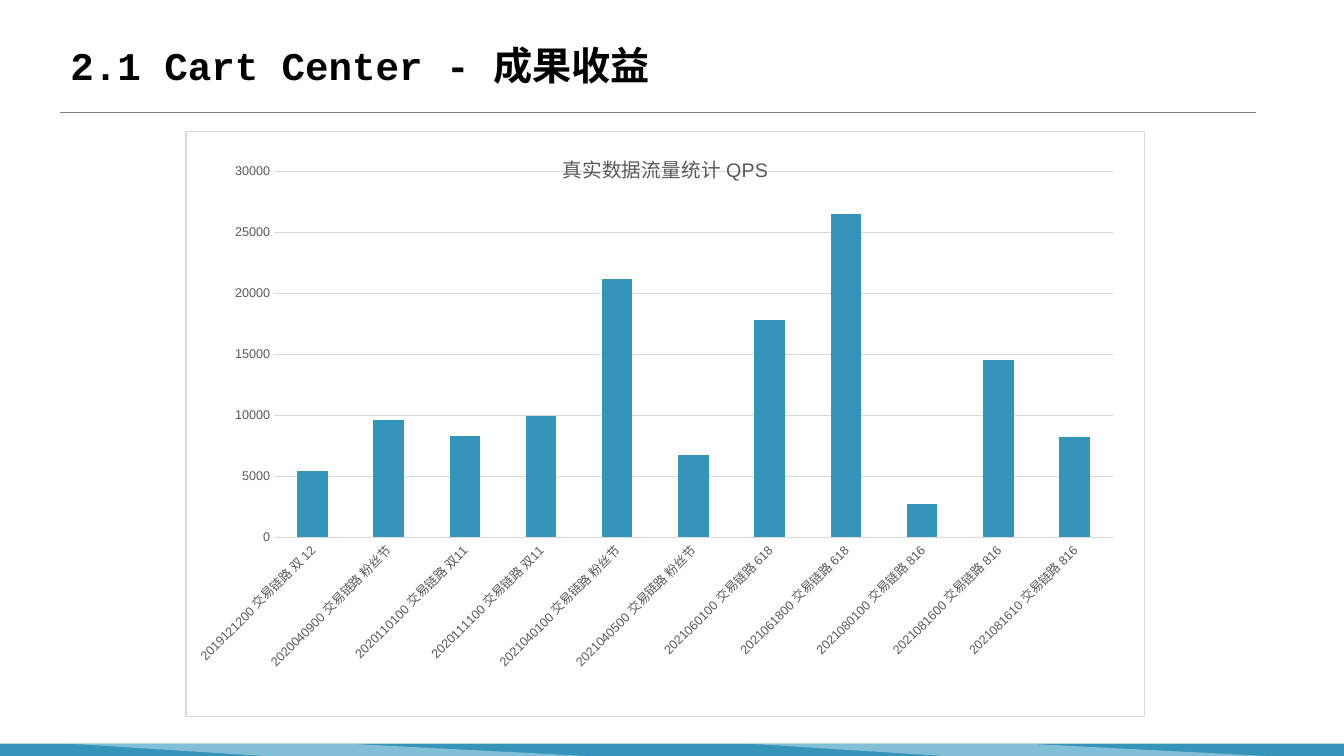
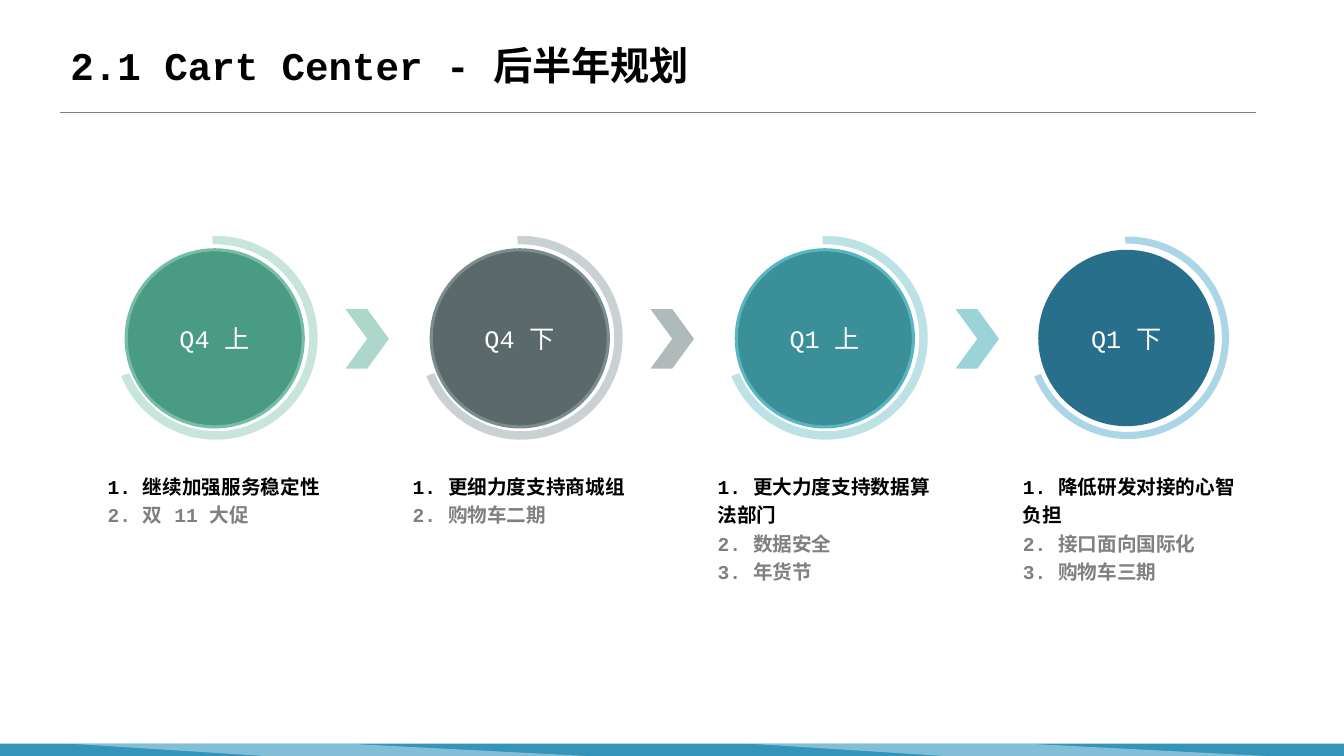
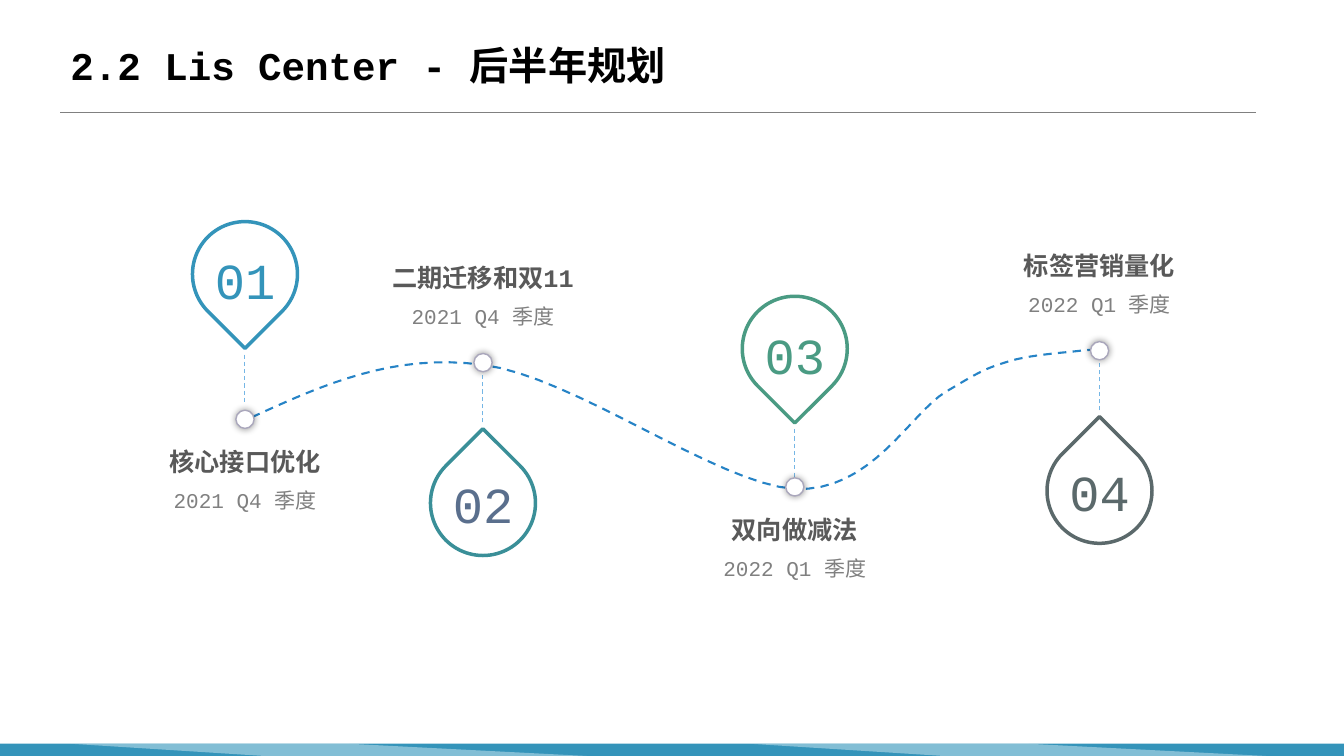
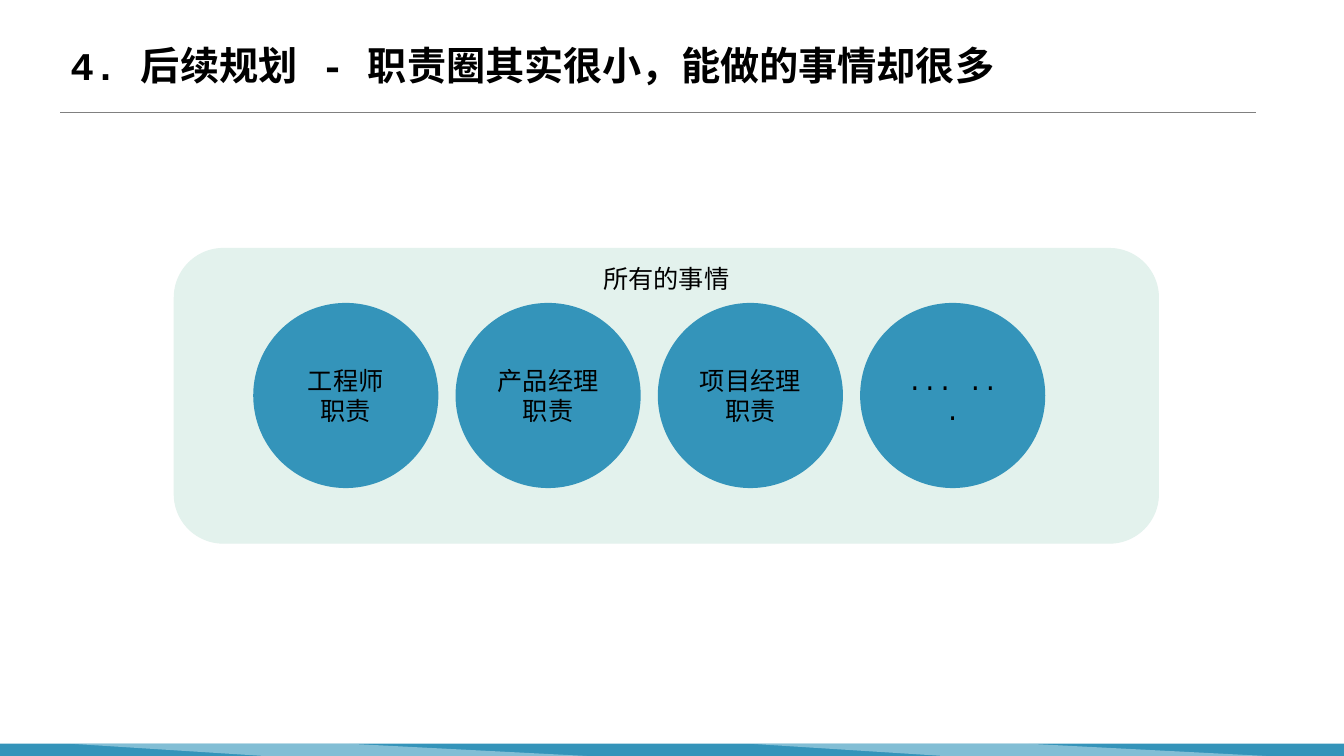
from lxml import etree
from pptx import Presentation
from pptx.chart.data import CategoryChartData
from pptx.dml.color import RGBColor
from pptx.enum.chart import XL_CHART_TYPE, XL_TICK_MARK
from pptx.enum.dml import MSO_LINE
from pptx.enum.shapes import MSO_CONNECTOR, MSO_SHAPE
from pptx.enum.text import MSO_ANCHOR, PP_ALIGN
from pptx.oxml import parse_xml
from pptx.oxml.ns import nsdecls, qn
from pptx.util import Pt

STACKED = XL_CHART_TYPE.COLUMN_STACKED
NO_TICK = XL_TICK_MARK.NONE
DASH = MSO_LINE.DASH
STRAIGHT = MSO_CONNECTOR.STRAIGHT
RECT, OVAL, ROUNDED = MSO_SHAPE.RECTANGLE, MSO_SHAPE.OVAL, MSO_SHAPE.ROUNDED_RECTANGLE
CHEVRON, TEARDROP, ARC = MSO_SHAPE.CHEVRON, MSO_SHAPE.TEAR, MSO_SHAPE.BLOCK_ARC
TOP, MIDDLE, BOTTOM = MSO_ANCHOR.TOP, MSO_ANCHOR.MIDDLE, MSO_ANCHOR.BOTTOM
LEFT, CENTER = PP_ALIGN.LEFT, PP_ALIGN.CENTER

WIDTH, HEIGHT = 960, 540
MONO, SANS = "Courier New", "Arial"
BLUE, PALE_BLUE = "3494BA", "D4EAF3"
BLACK, WHITE = "000000", "FFFFFF"
DARK_GREY, GREY, LIGHT_GREY = "595959", "808080", "D9D9D9"
MINT, GUIDE, ROUTE, DOT_EDGE = "E3F2ED", "75B6E5", "2683C6", "AAA7BC"


def rgb(value):
    return RGBColor.from_string(value)


def paint(shape, fill=None, line=None, weight=1, dash=None):
    """Set fill and outline, leaving out whichever has no colour."""
    if fill:
        shape.fill.solid()
        shape.fill.fore_color.rgb = rgb(fill)
    else:
        shape.fill.background()
    if line:
        shape.line.color.rgb = rgb(line)
        shape.line.width = Pt(weight)
        if dash:
            shape.line.dash_style = dash
    else:
        shape.line.fill.background()
    shape.shadow.inherit = False


def add_preset(slide, kind, box, **look):
    shape = slide.shapes.add_shape(kind, *map(Pt, box))
    paint(shape, **look)
    return shape


def add_outline(slide, points, closed, **look):
    points = [(Pt(x), Pt(y)) for x, y in points]
    builder = slide.shapes.build_freeform(*points[0])
    builder.add_line_segments(points[1:], close=closed)
    shape = builder.convert_to_shape()
    paint(shape, **look)
    return shape


def add_line(slide, start, end, color, weight, dash=None):
    line = slide.shapes.add_connector(STRAIGHT, *map(Pt, (*start, *end)))
    line.line.color.rgb = rgb(color)
    line.line.width = Pt(weight)
    if dash:
        line.line.dash_style = dash
    etree.SubElement(line._element.spPr, qn("a:effectLst"))


def write(shape, lines, size, colors, bold=False, align=CENTER, anchor=MIDDLE,
          spacing=1.0, **margins):
    """Write one paragraph per line; the last colour serves all further lines."""
    frame = shape.text_frame
    frame.word_wrap = True
    frame.vertical_anchor = anchor
    for side, margin in margins.items():
        setattr(frame, "margin_" + side, Pt(margin))
    for i, line in enumerate(lines):
        paragraph = frame.paragraphs[0] if i == 0 else frame.add_paragraph()
        paragraph.alignment = align
        paragraph.line_spacing = spacing
        run = paragraph.add_run()
        run.text = line
        look = {"size": Pt(size), "bold": bold, "name": MONO}
        for key, value in look.items():
            setattr(run.font, key, value)
        run.font.color.rgb = rgb(colors[min(i, len(colors) - 1)])
        latin = run._r.rPr.find(qn("a:latin"))
        latin.addnext(parse_xml(f'<a:ea {nsdecls("a")} typeface="{MONO}"/>'))


def add_text(slide, box, lines, size, colors, **style):
    write(slide.shapes.add_textbox(*map(Pt, box)), lines, size, colors, **style)


def add_footer(slide, top):
    add_preset(slide, RECT, (0, top, WIDTH, HEIGHT - top), fill=BLUE)
    for left in (49.7, 535):
        facet = add_outline(slide, [(left + 369.3, HEIGHT), (left + 198.5, top),
                                    (left, top), (left + 139, HEIGHT)],
                            True, fill=PALE_BLUE)
        color = facet._element.spPr.find(qn("a:solidFill"))[0]
        etree.SubElement(color, qn("a:alpha"), val="49000")


def new_slide(deck, title):
    slide = deck.slides.add_slide(deck.slide_layouts[6])
    add_footer(slide, 531.2)
    add_line(slide, (43, 80.4), (897.5, 80.4), GREY, 0.5)
    add_text(slide, (43.2, 16.6, 855, 64), [title], 28, [BLACK], bold=True,
             align=LEFT, spacing=0.9)
    return slide


def style_font(font, size, color):
    for key, value in {"size": Pt(size), "bold": False, "name": SANS}.items():
        setattr(font, key, value)
    font.color.rgb = rgb(color)


def add_traffic_chart(slide, box, title, traffic):
    data = CategoryChartData()
    data.categories = [event for event, _ in traffic]
    data.add_series(title, [qps for _, qps in traffic])
    chart = slide.shapes.add_chart(STACKED, *map(Pt, box), data).chart
    style_font(chart.font, 10, BLACK)
    chart.has_legend = False
    chart.has_title = True
    heading = chart.chart_title.text_frame
    heading.text = title
    style_font(heading.paragraphs[0].runs[0].font, 14, DARK_GREY)

    plot = chart.plots[0]
    plot.gap_width, plot.overlap, plot.vary_by_categories = 150, 100, False
    bars = plot.series[0].format
    bars.fill.solid()
    bars.fill.fore_color.rgb = rgb(BLUE)

    events, scale = chart.category_axis, chart.value_axis
    for axis in (events, scale):
        axis.major_tick_mark = axis.minor_tick_mark = NO_TICK
        style_font(axis.tick_labels.font, 9, DARK_GREY)
    scale.minimum_scale, scale.maximum_scale, scale.major_unit = 0, 30000, 5000
    scale.format.line.fill.background()
    scale.has_major_gridlines = True
    for line in (events.format.line, scale.major_gridlines.format.line):
        line.color.rgb = rgb(LIGHT_GREY)
        line.width = Pt(0.75)
    label_body = events._element.find(qn("c:txPr")).find(qn("a:bodyPr"))
    label_body.set("rot", "-2700000")

    root = chart.element.find(qn("c:chart"))
    root.addnext(parse_xml(
        f'<c:spPr {nsdecls("c", "a")}>'
        f'<a:solidFill><a:srgbClr val="{WHITE}"/></a:solidFill>'
        f'<a:ln w="{Pt(0.75)}"><a:solidFill><a:srgbClr val="{LIGHT_GREY}"/>'
        '</a:solidFill></a:ln></c:spPr>'))
    area = root.find(qn("c:plotArea"))
    for layout in area.findall(qn("c:layout")):
        area.remove(layout)
    places = {"xMode": "edge", "yMode": "edge", "x": 0.092, "y": 0.068,
              "w": 0.875, "h": 0.626}
    settings = "".join(f'<c:{key} val="{value}"/>' for key, value in places.items())
    area.insert(0, parse_xml(
        f'<c:layout {nsdecls("c")}><c:manualLayout><c:layoutTarget val="inner"/>'
        f'{settings}</c:manualLayout></c:layout>'))


def add_quarter(slide, left, top, quarter, goals, fill, edge, ring, nudge=0):
    """A ringed circle with its goals below; nudge moves only the circle."""
    size = 126.5 if edge else 126
    add_preset(slide, OVAL, (left + 20.3 + nudge, top + 9.4, size, size),
               fill=fill, line=edge, weight=2.25)
    write(slide.shapes[-1], [quarter], 18, [WHITE])
    arc = add_preset(slide, ARC, (left + 12 + nudge, top, 144.6, 144.6),
                     fill=ring, line=ring if edge else None)
    for i, value in enumerate((268.5 * 0.6, 157.5 * 0.6, 0.035)):
        arc.adjustments[i] = value
    add_text(slide, (left, top + 163.4, 166.5, 74), goals, 14, [BLACK, GREY],
             bold=True, align=LEFT, anchor=TOP, spacing=1.2)


def add_quarters(slide, left, top, step, quarters, arrow_colors):
    for i, quarter in enumerate(quarters):
        add_quarter(slide, left + i * step, top, *quarter)
    for i, color in enumerate(arrow_colors):
        add_preset(slide, CHEVRON, (left + 177 + i * step, top + 51.8, 31, 42.5),
                   fill=color)


def bezier(start, bends, steps=16):
    """Points along joined cubic curves, each given as two handles and an end."""
    points = [start]
    for bend in bends:
        corners = (points[-1], *bend)
        for i in range(1, steps + 1):
            t = i / steps
            weights = ((1 - t) ** 3, 3 * t * (1 - t) ** 2, 3 * t * t * (1 - t), t ** 3)
            points.append(tuple(sum(w * c[k] for w, c in zip(weights, corners))
                                for k in (0, 1)))
    return points


def add_milestone(slide, x, dot_y, drop_y, number, goal, quarter, edge, ink):
    """A dot on the route with a drop on one side and its texts on the other."""
    above = drop_y < dot_y
    toward_dot = 1 if above else -1
    drop = add_preset(slide, TEARDROP, (x - 37.5, drop_y - 37.5, 75, 75),
                      line=edge, weight=2.5)
    drop.rotation = 135 if above else 315
    add_text(slide, (x - 37, drop_y + (4 if above else 0) - 35, 74, 70),
             [number], 36, [ink])
    guide_y = drop_y + toward_dot * 57.5
    add_line(slide, (x, guide_y), (x, guide_y + toward_dot * 34), GUIDE, 0.75, DASH)

    dot = add_preset(slide, OVAL, (x - 6.5, dot_y - 6.5, 13, 13),
                     fill=WHITE, line=DOT_EDGE)
    dot._element.spPr.find(qn("a:effectLst")).append(parse_xml(
        f'<a:outerShdw {nsdecls("a")} blurRad="{Pt(5)}" dist="0" dir="0">'
        f'<a:srgbClr val="{BLACK}"><a:alpha val="40000"/></a:srgbClr></a:outerShdw>'))

    text_top = dot_y + (14 if above else -77)
    add_text(slide, (x - 74, text_top, 148, 31), [goal], 18, [DARK_GREY], bold=True,
             anchor=BOTTOM, spacing=0.9, left=9, right=9)
    add_text(slide, (x - 74, text_top + 33.3, 148, 30), [quarter], 15, [GREY],
             anchor=TOP, spacing=0.9)


def add_duties(slide, box, title, duties):
    left, top, _, _ = box
    field = add_preset(slide, ROUNDED, box, fill=MINT, line=MINT, weight=0.75)
    write(field, [title], 18, [BLACK], anchor=TOP, top=0)
    for i, duty in enumerate(duties):
        circle = add_preset(slide, OVAL, (left + 57 + i * 144.5, top + 39.5, 131, 131),
                            fill=BLUE, line=BLUE, weight=1.25)
        write(circle, duty, 18, [BLACK])


TRAFFIC = [
    ("2019121200 交易链路 双 12", 5400),
    ("2020040900 交易链路 粉丝节", 9600),
    ("2020110100 交易链路 双11", 8300),
    ("2020111100 交易链路 双11", 9900),
    ("2021040100 交易链路 粉丝节", 21200),
    ("2021040500 交易链路 粉丝节", 6700),
    ("2021060100 交易链路 618", 17800),
    ("2021061800 交易链路 618", 26500),
    ("2021080100 交易链路 816", 2700),
    ("2021081600 交易链路 816", 14500),
    ("2021081610 交易链路 816", 8200),
]
QUARTERS = [
    ("Q4 上", ["1. 继续加强服务稳定性", "2. 双 11 大促"],
     "4A9B83", "75BDA7", "C8E5DC"),
    ("Q4 下", ["1. 更细力度支持商城组", "2. 购物车二期"],
     "5B696B", "7A8C8E", "CAD1D2"),
    ("Q1 上", ["1. 更大力度支持数据算法部门", "2. 数据安全", "3. 年货节"],
     "3A8F98", "58B6C0", "BCE2E6"),
    ("Q1 下", ["1. 降低研发对接的心智负担", "2. 接口面向国际化", "3. 购物车三期"],
     "276F8B", None, "AAD6E7", -2.2),
]
ROUTE_START = (180, 298)
ROUTE_BENDS = [
    ((230.4, 275), (280.8, 252), (344.9, 260.6)),
    ((409.7, 268.6), (511.9, 345.6), (567.4, 349.2)),
    ((622.1, 352.1), (650.2, 295.2), (675.4, 280)),
    ((700.6, 265), (703.4, 263.5), (719.3, 258.5)),
    ((735.1, 253.4), (759.6, 252), (771.1, 250.6)),
    ((782.6, 249.1), (784.8, 250.6), (787.7, 251.3)),
]
MILESTONES = [
    (175, 299.5, 195.8, "01", "核心接口优化", "2021 Q4 季度", BLUE, BLUE),
    (345, 259, 359.3, "02", "二期迁移和双11", "2021 Q4 季度", "3A8F98", "5A6F8D"),
    (567.7, 347.8, 249.1, "03", "双向做减法", "2022 Q1 季度", "4A9B83", "4A9B83"),
    (785.4, 250.5, 350.6, "04", "标签营销量化", "2022 Q1 季度", "5B696B", "5B696B"),
]
DUTIES = [["工程师", "职责"], ["产品经理", "职责"], ["项目经理", "职责"], ["... .. ."]]


def main():
    deck = Presentation()
    deck.slide_width, deck.slide_height = Pt(WIDTH), Pt(HEIGHT)

    results = new_slide(deck, "2.1 Cart Center - 成果收益")
    add_traffic_chart(results, (132.5, 93.6, 685.4, 418.3),
                      "真实数据流量统计 QPS", TRAFFIC)

    cart_plan = new_slide(deck, "2.1 Cart Center - 后半年规划")
    add_quarters(cart_plan, 69.8, 169, 217.9, QUARTERS, ["ACD7CA", "AFBABB", "9BD3D9"])

    lis_plan = new_slide(deck, "2.2 Lis Center - 后半年规划")
    add_outline(lis_plan, bezier(ROUTE_START, ROUTE_BENDS), False,
                line=ROUTE, weight=1.5, dash=DASH)
    for milestone in MILESTONES:
        add_milestone(lis_plan, *milestone)

    outlook = new_slide(deck, "4. 后续规划 - 职责圈其实很小，能做的事情却很多")
    add_duties(outlook, (124.5, 177.5, 703, 210.5), "所有的事情", DUTIES)

    deck.save("out.pptx")


if __name__ == "__main__":
    main()
